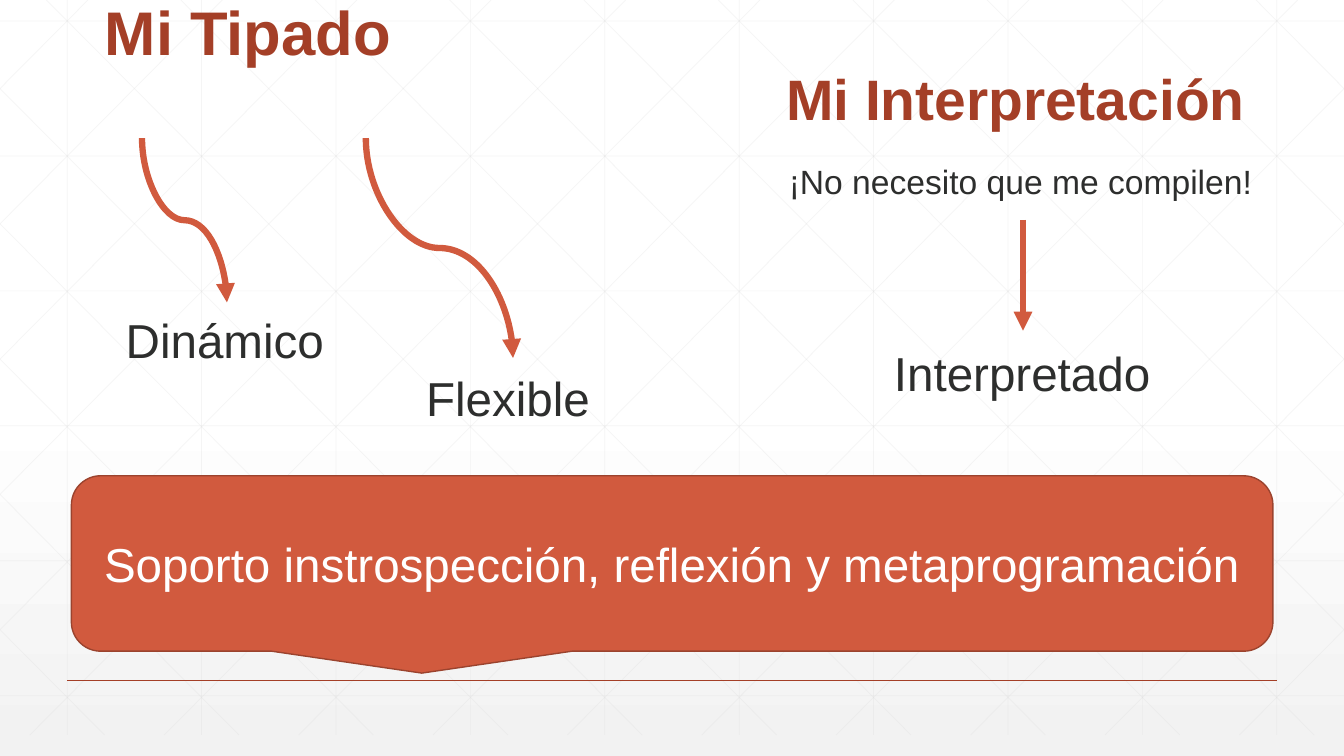
from lxml import etree
from pptx import Presentation
from pptx.dml.color import RGBColor
from pptx.enum import shapes, text
from pptx.oxml import ns
from pptx.util import Cm, Pt

WIDTH, HEIGHT = 33.87, 19.05
WHITE = RGBColor(0xFF, 0xFF, 0xFF)
PALE = RGBColor(0xF2, 0xF2, 0xF2)
GRID = RGBColor(0xD9, 0xD9, 0xD9)
INK = RGBColor(0x2D, 0x2E, 0x2D)
RUST = RGBColor(0xA4, 0x3F, 0x27)
ORANGE = RGBColor(0xD1, 0x5A, 0x3E)
EDGE = RGBColor(0x9B, 0x43, 0x2E)


def sub(parent, tag, **attrs):
    return etree.SubElement(parent, ns.qn(tag), attrs)


def write(tf, words, size, color, bold=False, anchor=text.MSO_ANCHOR.TOP,
          align=text.PP_ALIGN.LEFT, spacing=None):
    tf.word_wrap = True
    tf.auto_size = text.MSO_AUTO_SIZE.NONE
    tf.vertical_anchor = anchor
    p = tf.paragraphs[0]
    p.alignment = align
    p.line_spacing = spacing
    r = p.add_run()
    r.text = words
    r.font.name, r.font.size, r.font.bold = "Arial", Pt(size), bold
    r.font.color.rgb = color


def heading(tf, words, size):
    write(tf, words, size, RUST, bold=True, anchor=text.MSO_ANCHOR.BOTTOM, spacing=0.9)


def text_box(s, x, y, w, h):
    return s.shapes.add_textbox(Cm(x), Cm(y), Cm(w), Cm(h)).text_frame


def line(parent, x1, y1, x2, y2, color, width, kind=shapes.MSO_CONNECTOR.STRAIGHT):
    c = parent.shapes.add_connector(kind, Cm(x1), Cm(y1), Cm(x2), Cm(y2))
    c.line.color.rgb = color
    c.line.width = Pt(width)
    sub(c.element.spPr, "a:effectLst")
    return c


def arrow(s, x1, y1, x2, y2, curved=False):
    if curved:
        # The curve leaves downwards: a flipped box turned by 270 degrees
        cx, cy = (x1 + x2) / 2, (y1 + y2) / 2
        half_w, half_h = (y2 - y1) / 2, (x2 - x1) / 2
        c = line(s, cx + half_w, cy - half_h, cx - half_w, cy + half_h,
                 ORANGE, 4.5, shapes.MSO_CONNECTOR.CURVE)
        c.rotation = 270
    else:
        c = line(s, x1, y1, x2, y2, ORANGE, 4.5)
    sub(c.line._get_or_add_ln(), "a:tailEnd", type="triangle")


def background(s, w, h):
    # Gradient from white to pale grey
    fill = s.background.fill
    fill.gradient()
    fill.gradient_angle = 270
    for stop, position, color in zip(fill.gradient_stops, (0.53, 1), (WHITE, PALE)):
        stop.position = position
        stop.color.rgb = color

    # Square grid with both diagonals, cut at the slide edges
    bottom, step, run = h - 0.53, w / 10, 18.4
    slope = bottom / run
    ends = [(step * (k + 0.5), 0, step * (k + 0.5), bottom) for k in range(10)]
    ends += [(0, 0.53 + 3.4 * k, w, 0.53 + 3.4 * k) for k in range(6)]
    for k in range(-5, 10):
        top_x = 1.17 + step * k
        x1, x2 = max(top_x, 0), min(top_x + run, w)
        y1, y2 = (x1 - top_x) * slope, (x2 - top_x) * slope
        ends += [(x1, y1, x2, y2), (w - x1, y1, w - x2, y2)]
    grid = s.shapes.add_group_shape()
    for end in ends:
        c = line(grid, *end, GRID, 0.5)
        sub(c.element.spPr.find(".//" + ns.qn("a:srgbClr")), "a:alpha", val="25000")
    s.shapes.title.element.addprevious(grid.element)

    # Footer rule
    line(s, step / 2, 17.15, w - step / 2, 17.15, RUST, 1)


def typing_region(s, x, y):
    title = s.shapes.title
    title.left, title.top, title.width, title.height = Cm(x), Cm(y), Cm(7.9), Cm(1.85)
    heading(title.text_frame, "Mi Tipado", 44)
    arrow(s, x + 1.19, y + 3.48, x + 3.33, y + 7.62, curved=True)
    arrow(s, x + 6.83, y + 3.48, x + 10.54, y + 9.02, curved=True)
    write(text_box(s, x + 0.53, y + 7.72, 5.59, 1.7), "Dinámico", 34, INK)
    write(text_box(s, x + 8.1, y + 9.17, 4.85, 1.7), "Flexible", 34, INK)


def interpretation_region(s, x, y):
    heading(text_box(s, x, y, 12.65, 2.79), "Mi Interpretación", 40.7)
    write(text_box(s, x + 0.07, y + 3.25, 12.5, 1.27),
          "¡No necesito que me compilen!", 24, INK)
    arrow(s, x + 6.22, y + 4.85, x + 6.22, y + 7.64)
    write(text_box(s, x + 2.72, y + 7.84, 7.1, 1.7), "Interpretado", 34, INK)


def callout(s, x, y, w, h):
    sp = s.shapes.add_shape(shapes.MSO_SHAPE.ROUNDED_RECTANGULAR_CALLOUT,
                            Cm(x), Cm(y), Cm(w), Cm(h))
    sp.shadow.inherit = False
    sp.fill.solid()
    sp.fill.fore_color.rgb = ORANGE
    sp.line.color.rgb = EDGE
    sp.line.width = Pt(1)
    write(sp.text_frame, "Soporto instrospección, reflexión y metaprogramación", 34,
          WHITE, anchor=text.MSO_ANCHOR.MIDDLE, align=text.PP_ALIGN.CENTER)


prs = Presentation()
prs.slide_width, prs.slide_height = Cm(WIDTH), Cm(HEIGHT)
s = prs.slides.add_slide(prs.slide_layouts[5])
background(s, WIDTH, HEIGHT)
typing_region(s, 2.39, 0)
interpretation_region(s, 19.56, 0.69)
callout(s, 1.8, 11.99, 30.28, 4.42)
prs.save("out.pptx")
